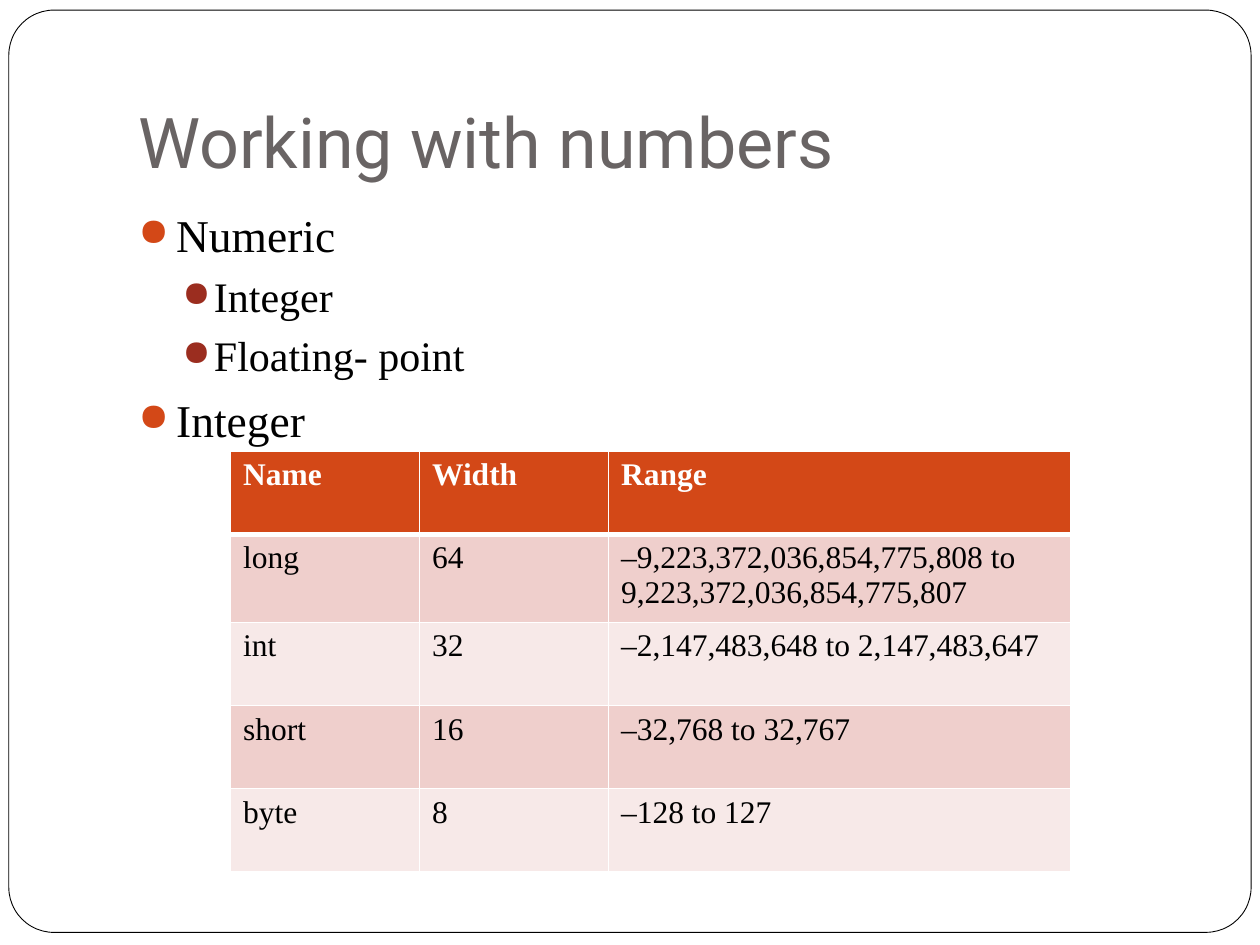
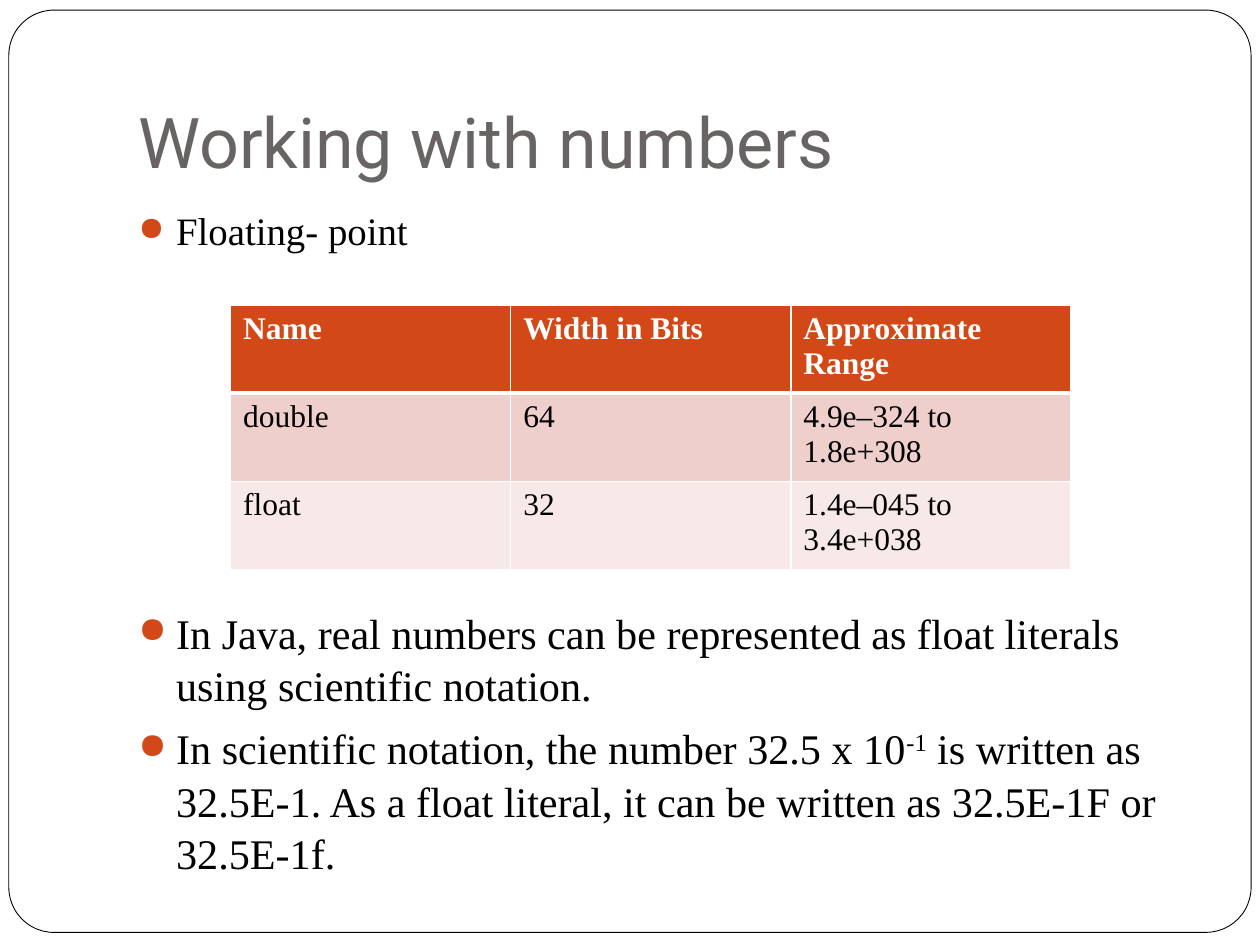
from lxml import etree
from pptx import Presentation
from pptx.dml.color import RGBColor
from pptx.enum.shapes import MSO_SHAPE
from pptx.enum.text import MSO_ANCHOR
from pptx.oxml.ns import qn
from pptx.util import Inches, Pt

ROUNDED = MSO_SHAPE.ROUNDED_RECTANGLE
BOTTOM = MSO_ANCHOR.BOTTOM

WHITE = RGBColor(0xFF, 0xFF, 0xFF)
BLACK = RGBColor(0, 0, 0)
GRAY = RGBColor(0x69, 0x64, 0x64)
ORANGE = RGBColor(0xD3, 0x48, 0x17)
DARK_RED = RGBColor(0x9B, 0x2D, 0x1F)
BANDS = (RGBColor(0xEF, 0xCF, 0xCC), RGBColor(0xF7, 0xE9, 0xE8))

TITLE_FONT = "Roboto"
BODY_FONT = "Times New Roman"
LINE_SPACING = 1.04

# Level: (left margin and hanging indent in inches, space before in points, bullet colour)
LEVELS = [(0.3, 0.3, 5.8, ORANGE), (0.6, 0.25, 3.7, DARK_RED)]

# Bullets: (level, size, extra space before, runs); a run is (text, is superscript)
SLIDES = [
    {
        "title": "Working with numbers",
        "bullets": [
            (0, 26, 0, [("Numeric", False)]),
            (1, 24, 0, [("Integer", False)]),
            (1, 24, 0, [("Floating- point", False)]),
            (0, 26, 0, [("Integer", False)]),
        ],
        "table_top": 3.58,
        "column_shares": (1.5, 1.5, 3.67),
        "rows": [
            ("Name", "Width", "Range"),
            ("long", "64", "–9,223,372,036,854,775,808 to 9,223,372,036,854,775,807"),
            ("int", "32", "–2,147,483,648 to 2,147,483,647"),
            ("short", "16", "–32,768 to 32,767"),
            ("byte", "8", "–128 to 127"),
        ],
    },
    {
        "title": "Working with numbers",
        "bullets": [
            (0, 22.2, 0, [("Floating- point", False)]),
            (0, 24.1, 195, [("In Java, real numbers can be represented as float "
                             "literals using scientific notation.", False)]),
            (0, 24.1, 0, [("In scientific notation, the number 32.5 x 10", False),
                          ("-1", True),
                          (" is written as 32.5E-1. As a float literal, it can be "
                           "written as 32.5E-1F or 32.5E-1f.", False)]),
        ],
        "table_top": 2.42,
        "column_shares": (1, 1, 1),
        "rows": [
            ("Name", "Width in Bits", "Approximate Range"),
            ("double", "64", "4.9e–324 to 1.8e+308"),
            ("float", "32", "1.4e–045 to 3.4e+038"),
        ],
    },
]

TEXT_LEFT, TEXT_WIDTH = 1, 8.5
TABLE_LEFT, TABLE_WIDTH, ROW_HEIGHT = 1.83, 6.67, 0.66


def add_span(para, text, font, size, color, bold=False):
    span = para.add_run()
    span.text = text
    span.font.name = font
    span.font.size = Pt(size)
    span.font.color.rgb = color
    span.font.bold = bold
    return span


def add_text_box(page, top, height):
    box = page.shapes.add_textbox(Inches(TEXT_LEFT), Inches(top),
                                  Inches(TEXT_WIDTH), Inches(height))
    box.text_frame.word_wrap = True
    return box.text_frame


def add_frame(page):
    frame = page.shapes.add_shape(ROUNDED, Inches(0.07), Inches(0.08),
                                  Inches(9.86), Inches(7.32))
    frame.adjustments[0] = 0.049
    frame.shadow.inherit = False
    frame.fill.solid()
    frame.fill.fore_color.rgb = WHITE
    frame.line.color.rgb = BLACK
    frame.line.width = Pt(0.5)


def add_title(page, title):
    frame = add_text_box(page, 0.3, 1.25)
    frame.vertical_anchor = BOTTOM
    frame.margin_bottom = Inches(0.1)
    add_span(frame.paragraphs[0], title, TITLE_FONT, 40, GRAY)


def set_bullet(para, margin, hanging, color):
    props = para._p.get_or_add_pPr()
    props.set("marL", str(Inches(margin)))
    props.set("indent", str(-Inches(hanging)))
    bullet_color = etree.SubElement(props, qn("a:buClr"))
    etree.SubElement(bullet_color, qn("a:srgbClr"), val=str(color))
    etree.SubElement(props, qn("a:buSzPct"), val="85000")
    etree.SubElement(props, qn("a:buChar"), char="●")


def add_bullets(page, bullets):
    frame = add_text_box(page, 1.58, 5)
    for index, (level, size, extra_space, spans) in enumerate(bullets):
        para = frame.add_paragraph() if index else frame.paragraphs[0]
        margin, hanging, space, color = LEVELS[level]
        para.level = level
        para.line_spacing = LINE_SPACING
        para.space_before = Pt(space + extra_space)
        set_bullet(para, margin, hanging, color)
        for text, superscript in spans:
            span = add_span(para, text, BODY_FONT, size, BLACK)
            if superscript:
                span._r.get_or_add_rPr().set("baseline", "30000")


def set_borders(cell, **widths):
    """Draw white cell borders; widths maps L, R, T and B to points."""
    props = cell._tc.get_or_add_tcPr()
    for position, side in enumerate("LRTB"):
        line = etree.Element(qn(f"a:ln{side}"), w=str(Pt(widths.get(side, 1))))
        fill = etree.SubElement(line, qn("a:solidFill"))
        etree.SubElement(fill, qn("a:srgbClr"), val=str(WHITE))
        props.insert(position, line)


def add_number_table(page, top, shares, rows):
    table = page.shapes.add_table(
        len(rows), len(shares), Inches(TABLE_LEFT), Inches(top),
        Inches(TABLE_WIDTH), Inches(ROW_HEIGHT * len(rows))).table
    for column, share in zip(table.columns, shares):
        column.width = Inches(TABLE_WIDTH * share / sum(shares))
    for row_index, row in enumerate(rows):
        is_header = row_index == 0
        for column_index, text in enumerate(row):
            cell = table.cell(row_index, column_index)
            cell.fill.solid()
            cell.fill.fore_color.rgb = ORANGE if is_header else BANDS[(row_index - 1) % 2]
            set_borders(cell, T=3 if row_index == 1 else 1, B=3 if is_header else 1)
            add_span(cell.text_frame.paragraphs[0], text, BODY_FONT, 18,
                     WHITE if is_header else BLACK, bold=is_header)


def main():
    deck = Presentation()
    deck.slide_width, deck.slide_height = Inches(10), Inches(7.5)
    for content in SLIDES:
        page = deck.slides.add_slide(deck.slide_layouts[6])
        add_frame(page)
        add_title(page, content["title"])
        add_bullets(page, content["bullets"])
        add_number_table(page, content["table_top"], content["column_shares"],
                         content["rows"])
    deck.save("out.pptx")


if __name__ == "__main__":
    main()
